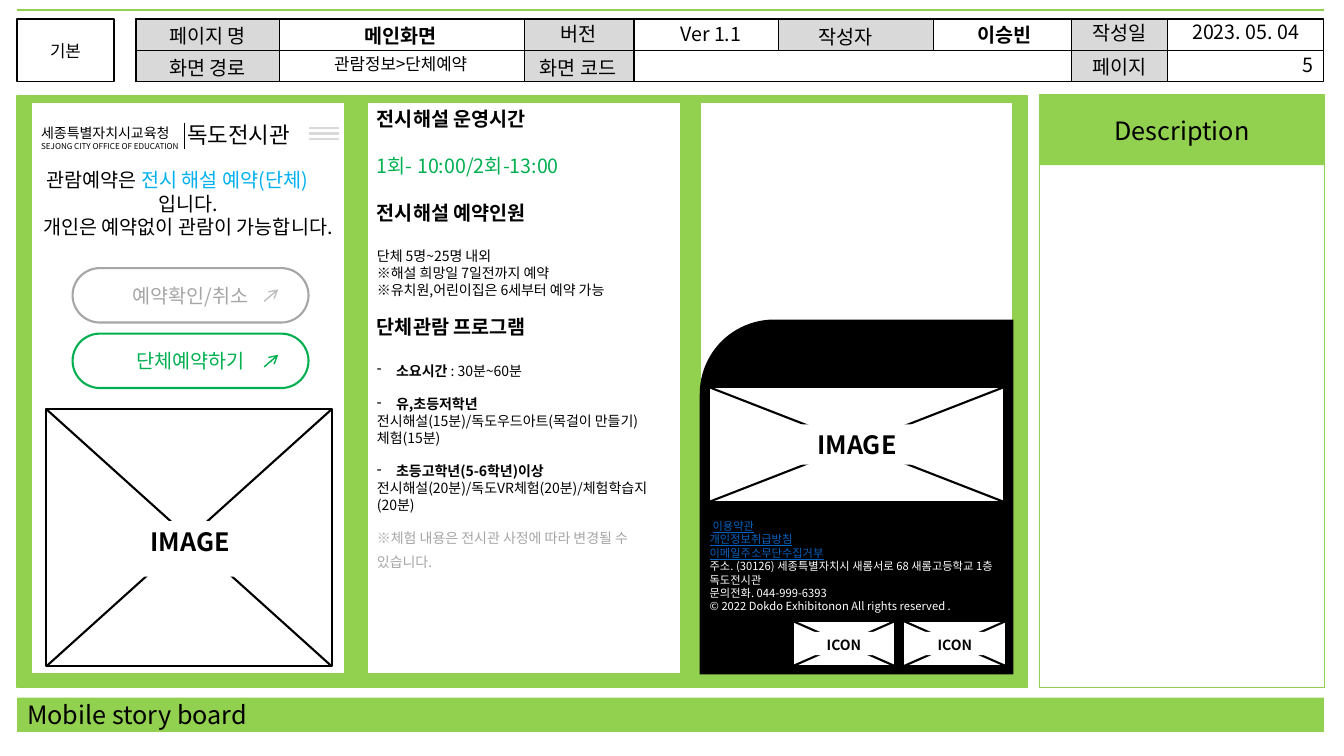
from lxml import etree
from pptx import Presentation
from pptx import util as u
from pptx.dml.color import RGBColor
from pptx.enum import shapes as s
from pptx.enum import text as t
from pptx.oxml.ns import qn

FONT = "Noto Sans CJK KR"
GREEN, LEAF, BLACK, WHITE = "92D050", "00B050", "000000", "FFFFFF"
SILVER, GREY, PALE = "A6A6A6", "D9D9D9", "BFBFBF"
SKY, LINK = "00B0F0", "0563C1"
LEFT, CENTER, RIGHT = t.PP_ALIGN.LEFT, t.PP_ALIGN.CENTER, t.PP_ALIGN.RIGHT
TOP, MIDDLE = t.MSO_ANCHOR.TOP, t.MSO_ANCHOR.MIDDLE
RECT = s.MSO_SHAPE.RECTANGLE


def color(value):
    return RGBColor.from_string(value)


def inches(*lengths):
    return [u.Inches(length) for length in lengths]


def para(*runs, size=10, align=LEFT, before=0, line=None, left=0, bullet=None, **font):
    """Describe a paragraph; a run is a string or (string, font values)."""
    runs = [run if isinstance(run, tuple) else (run, {}) for run in runs]
    return dict(runs=runs, size=size, align=align, before=before, left=left,
                line=line or size * 1.2, bullet=bullet, font=font)


def write(shape, paragraphs, anchor=TOP):
    frame = shape.text_frame
    frame_format = dict(word_wrap=True, auto_size=t.MSO_AUTO_SIZE.NONE, vertical_anchor=anchor,
                        margin_left=u.Inches(0.1), margin_right=u.Inches(0.1),
                        margin_top=u.Inches(0.05), margin_bottom=u.Inches(0.05))
    for name, value in frame_format.items():
        setattr(frame, name, value)
    for number, item in enumerate(paragraphs):
        paragraph = frame.add_paragraph() if number else frame.paragraphs[0]
        properties = paragraph._p.get_or_add_pPr()
        left = 0.19 if item["bullet"] else item["left"]
        properties.set("marL", str(u.Inches(left)))
        properties.set("indent", str(u.Inches(-0.19 if item["bullet"] else 0)))
        if item["bullet"]:
            etree.SubElement(properties, qn("a:buChar")).set("char", item["bullet"])
        paragraph_format = dict(alignment=item["align"], line_spacing=u.Pt(item["line"]),
                                space_before=u.Pt(item["before"]), space_after=u.Pt(0))
        for name, value in paragraph_format.items():
            setattr(paragraph, name, value)
        for words, extra in item["runs"]:
            run = paragraph.add_run()
            run.text = words
            values = dict(name=FONT, size=u.Pt(item["size"]), bold=False, color=BLACK)
            values.update(item["font"])
            values.update(extra)
            run.font.color.rgb = color(values.pop("color"))
            for name, value in values.items():
                setattr(run.font, name, value)
            east_asian = etree.Element(qn("a:ea"), typeface=FONT)
            run.font._rPr.find(qn("a:latin")).addnext(east_asian)


def add_box(slide, box, fill=WHITE, line=None, width=1, kind=RECT):
    shape = slide.shapes.add_shape(kind, *inches(*box))
    shape.shadow.inherit = False
    shape.fill.solid()
    shape.fill.fore_color.rgb = color(fill)
    if line:
        shape.line.color.rgb = color(line)
        shape.line.width = u.Pt(width)
    else:
        shape.line.fill.background()
    return shape


def add_text(slide, box, *paragraphs, anchor=TOP):
    write(slide.shapes.add_textbox(*inches(*box)), paragraphs, anchor)


def add_line(slide, x1, y1, x2, y2, stroke=BLACK, width=1.0, arrow=False):
    connector = slide.shapes.add_connector(s.MSO_CONNECTOR.STRAIGHT, *inches(x1, y1, x2, y2))
    connector.line.color.rgb = color(stroke)
    connector.line.width = u.Pt(width)
    if arrow:
        etree.SubElement(connector.line._get_or_add_ln(), qn("a:tailEnd")).set("type", "arrow")
    etree.SubElement(connector._element.spPr, qn("a:effectLst"))


def add_placeholder_frame(slide, box, label, label_box, size):
    """Crossed frame with a white label over the crossing."""
    left, top, width, height = box
    add_box(slide, box, WHITE, BLACK, 1.5)
    add_line(slide, left, top, left + width, top + height, width=1.5)
    add_line(slide, left, top + height, left + width, top, width=1.5)
    write(add_box(slide, label_box), [para(label, size=size, align=CENTER, bold=True)])


def add_header(slide, left, top, width, height):
    add_line(slide, left, 0.1, left + width, 0.1, GREEN, 2)
    badge = add_box(slide, (left, top, 0.96, height), WHITE, BLACK)
    write(badge, [para("기본", size=12, align=CENTER)], MIDDLE)
    # Information grid
    grid_left, right = 1.35, left + width
    add_box(slide, (grid_left, top, right - grid_left, height), WHITE, BLACK)
    half = height / 2
    for x, cell_width, cell_height in [(1.35, 1.42, height), (5.2, 1.09, height),
                                       (7.72, 1.54, half), (10.63, 0.95, height)]:
        add_box(slide, (x, top, cell_width, cell_height), GREY, BLACK)
    add_line(slide, grid_left, top + half, right, top + half)
    labels = [("페이지 명", 1.35, 0.19, 1.42), ("화면 경로", 1.35, 0.51, 1.42),
              ("메인화면", 2.76, 0.19, 2.43), ("버전", 5.2, 0.17, 1.08),
              ("화면 코드", 5.19, 0.51, 1.09), ("Ver 1.1", 6.28, 0.17, 1.54),
              ("작성자", 7.62, 0.2, 1.54), ("이승빈", 9.26, 0.18, 1.4),
              ("작성일", 10.63, 0.16, 0.95), ("2023. 05. 04", 11.58, 0.15, 1.55),
              ("페이지", 10.63, 0.5, 0.95), ("5", 11.88, 0.48, 1.25),
              ("관람정보>단체예약", 2.76, 0.48, 2.43)]
    for words, x, y, label_width in labels:
        add_text(slide, (x, y, label_width, 0.34),
                 para(words, size=12 if ">" in words else 14,
                      align=RIGHT if words == "5" else CENTER,
                      bold=words in ("메인화면", "이승빈")))


def add_booking_screen(slide, left, top, width):
    # Site banner and menu icon
    for step in range(3):
        y = top + 0.26 + step * 0.055
        add_line(slide, left + 2.75, y, left + 3.05, y, GREY, 1.75)
    add_text(slide, (left, top + 0.17, 1.6, 0.27), para("세종특별자치시교육청"), anchor=MIDDLE)
    add_text(slide, (left, top + 0.34, 1.6, 0.29),
             para("SEJONG CITY OFFICE OF EDUCATION", size=5.8))
    add_text(slide, (left + 1.45, top + 0.14, 1.49, 0.37), para("독도전시관", size=16))
    add_line(slide, left + 1.52, top + 0.21, left + 1.52, top + 0.47)
    # Notice
    add_text(slide, (left, top + 0.61, width, 0.95),
             para("관람예약은", (" 전시 해설 예약(단체)", dict(color=SKY)), size=14, left=0.05),
             para("입니다.", size=14, align=CENTER),
             para("개인은 예약없이 관람이 가능합니다.", size=14, align=CENTER))
    # Buttons
    buttons = [("예약확인/취소", SILVER, PALE), ("단체예약하기", LEAF, LEAF)]
    for number, (words, tint, arrow_tint) in enumerate(buttons):
        x, y = left + 0.41, top + 1.65 + number * 0.65
        button = add_box(slide, (x, y, 2.34, 0.54), WHITE, tint, 1.5,
                         s.MSO_SHAPE.ROUNDED_RECTANGLE)
        button.adjustments[0] = 0.5
        write(button, [para(words, size=14, align=CENTER, color=tint)], MIDDLE)
        add_line(slide, x + 1.9, y + 0.33, x + 2.04, y + 0.21, arrow_tint, 1, arrow=True)
    add_placeholder_frame(slide, (left + 0.15, top + 3.05, 2.83, 2.55), "IMAGE",
                          (left + 0.64, top + 4.16, 1.87, 0.55), 18)


def add_guide_screen(slide, left, top, width):
    heading = dict(size=14, bold=True)
    add_text(
        slide, (left, top, width, 5.22),
        para("전시해설 운영시간", **heading),
        para("1회- 10:00/2회-13:00", size=14, before=16.8, color=LEAF),
        para("전시해설 예약인원", before=16.8, **heading),
        para("단체 5명~25명 내외", before=16.8),
        para("※해설 희망일 7일전까지 예약"),
        para("※유치원,어린이집은 6세부터 예약 가능"),
        para("단체관람 프로그램", before=12, **heading),
        para(("소요시간 ", dict(bold=True)), ": 30분~60분", before=16.8, bullet="-"),
        para("유,초등저학년", before=12, bullet="-", bold=True),
        para("전시해설(15분)/독도우드아트(목걸이 만들기)"),
        para("체험(15분)"),
        para("초등고학년(5-6학년)이상", before=12, bullet="-", bold=True),
        para("전시해설(20분)/독도VR체험(20분)/체험학습지"),
        para("(20분)"),
        para("※체험 내용은 전시관 사정에 따라 변경될 수 있습니다.",
             before=7, line=16.8, color=SILVER))


def add_footer_screen(slide, left, top, width):
    footer = add_box(slide, (left, top + 2.16, width, 3.52), BLACK,
                     kind=s.MSO_SHAPE.ROUND_1_RECTANGLE)
    footer.adjustments[0] = 0.237
    footer._element.spPr.find(qn("a:xfrm")).set("flipH", "1")
    add_placeholder_frame(slide, (left + 0.09, top + 2.83, 2.93, 1.14), "IMAGE",
                          (left + 0.14, top + 3.2, 2.84, 0.4), 18)
    # Links and address
    link = dict(size=8, color=LINK, underline=True)
    plain = dict(size=8, color=WHITE)
    add_text(slide, (left, top + 4.09, width, 1.0),
             para("이용약관", left=0.03, **link),
             para("개인정보취급방침", **link),
             para("이메일주소무단수집거부", **link),
             para("주소. (30126) 세종특별자치시 새롬서로 68 새롬고등학교 1층 독도전시관", **plain),
             para("문의전화. 044-999-6393", **plain),
             para("© 2022 Dokdo Exhibitonon All rights reserved .", **plain))
    for number in range(2):
        x, y = left + 0.92 + number * 1.1, top + 5.15
        add_placeholder_frame(slide, (x, y, 1.02, 0.45), "ICON", (x + 0.02, y + 0.11, 0.98, 0.23), 10)


def add_description(slide, left, top, width, height):
    add_box(slide, (left, top, width, height), WHITE, GREEN, 0.75)
    banner = add_box(slide, (left, top, width, 0.7), GREEN)
    write(banner, [para("Description", size=18, align=CENTER)], MIDDLE)


def add_title(slide, left, top, width, height):
    title = slide.shapes.title
    title.left, title.top, title.width, title.height = inches(left, top, width, height)
    title.fill.solid()
    title.fill.fore_color.rgb = color(GREEN)
    write(title, [para("Mobile story board", size=18)], MIDDLE)


def main():
    presentation = Presentation()
    presentation.slide_width, presentation.slide_height = inches(13.33, 7.5)
    slide = presentation.slides.add_slide(presentation.slide_layouts[5])
    add_title(slide, 0.17, 6.92, 12.96, 0.34)
    add_header(slide, 0.17, 0.19, 12.96, 0.62)
    # Phone screens on the green board
    add_box(slide, (0.17, 0.95, 10.02, 5.87), GREEN, GREEN, 1.25)
    screens = [(0.31, add_booking_screen), (3.64, add_guide_screen), (6.94, add_footer_screen)]
    for left, add_screen in screens:
        add_box(slide, (left, 1.01, 3.11, 5.68), WHITE, GREEN, 1.25)
        add_screen(slide, left, 1.01, 3.11)
    add_description(slide, 10.31, 0.94, 2.83, 5.88)
    presentation.save("out.pptx")


if __name__ == "__main__":
    main()
